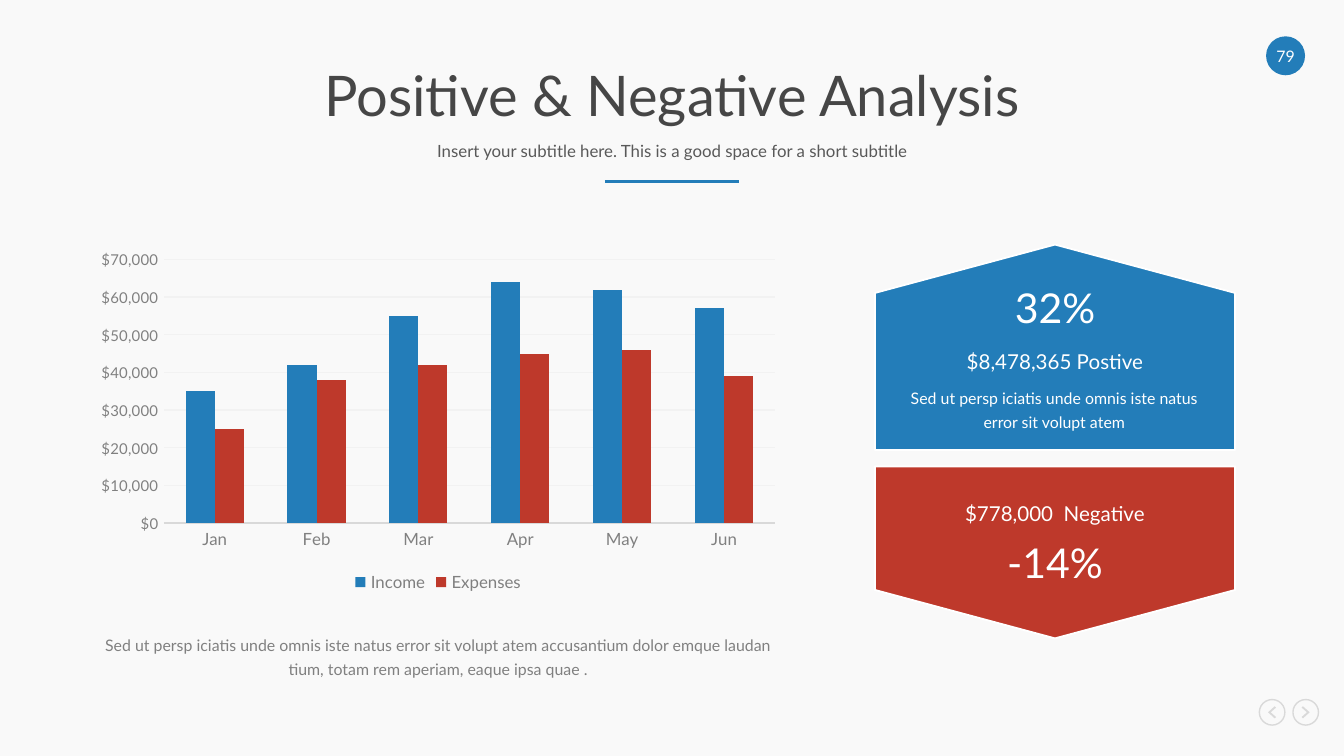
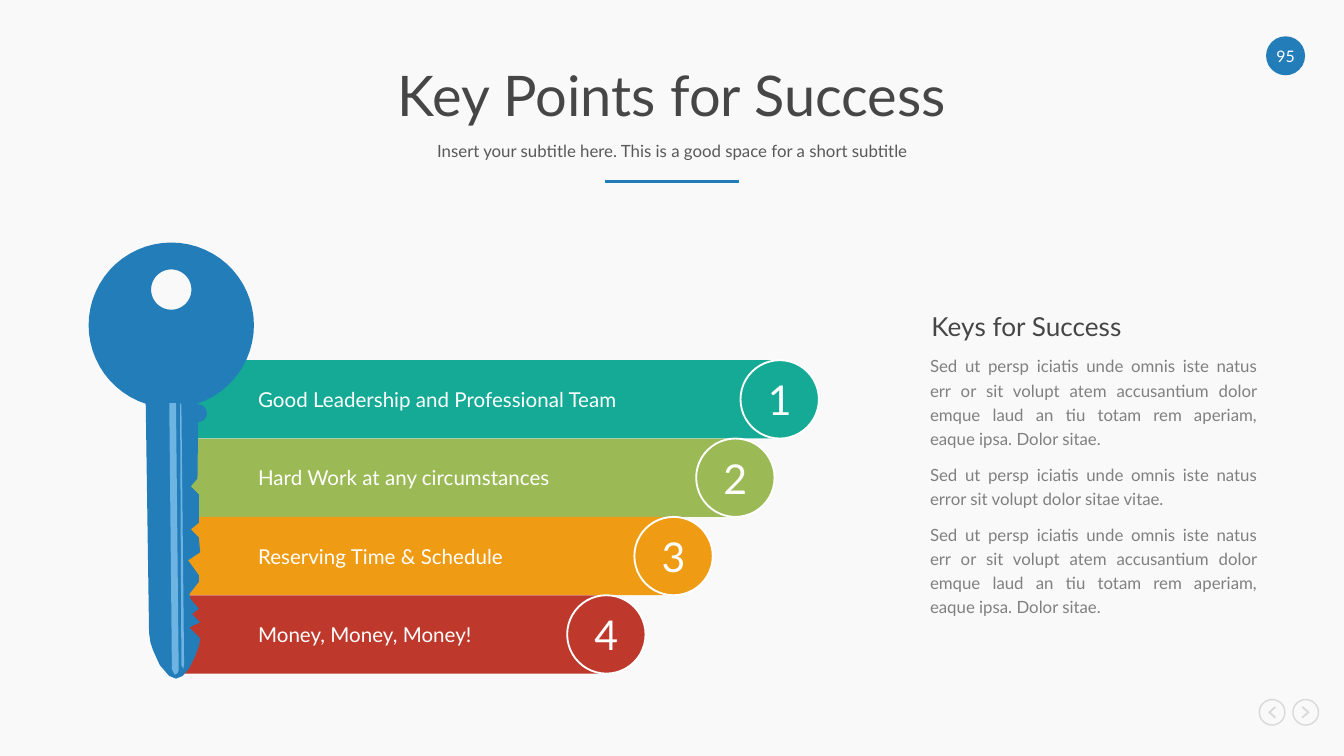
from dataclasses import dataclass
from math import cos, radians, sin
from typing import Optional, Union

from lxml import etree
from pptx import Presentation
from pptx import util as u
from pptx.chart.data import CategoryChartData
from pptx.dml.color import RGBColor
from pptx.enum import chart as ch, shapes as sh, text as tx
from pptx.oxml.ns import qn
from pptx.shapes.autoshape import Shape
from pptx.slide import Slide
from pptx.text.text import Font, TextFrame

LEFT, MID, JUST = tx.PP_ALIGN.LEFT, tx.PP_ALIGN.CENTER, tx.PP_ALIGN.JUSTIFY
OVAL, RECT = sh.MSO_SHAPE.OVAL, sh.MSO_SHAPE.RECTANGLE
WIDE = u.Inches(10)
HIGH = WIDE * 9 // 16
COLS = 100
CELL = WIDE / COLS
Point = tuple[float, float]


@dataclass(frozen=True)
class Theme:
    font: str = "Lato"
    page: str = "F9F9F9"
    white: str = "FFFFFF"
    blue: str = "237DB9"
    sky: str = "6DB4E3"
    red: str = "BE392B"
    teal: str = "14AA96"
    green: str = "9BB955"
    gold: str = "F09B14"
    dark: str = "464646"
    soft: str = "595959"
    gray: str = "808080"
    rule: str = "D9D9D9"
    grid: str = "F2F2F2"
    title: float = 30
    big: float = 22
    head: float = 14
    label: float = 11
    body: float = 9
    small: float = 8.5
    tick: float = 8


T = Theme()


@dataclass(frozen=True)
class Style:
    size: float
    color: str
    align: tx.PP_ALIGN = MID
    lead: Union[float, u.Pt, None] = None
    after: float = 0


@dataclass(frozen=True)
class Box:
    x: float
    y: float
    w: float
    h: float

    def emu(self) -> list[int]:
        return [span(v) for v in (self.x, self.y, self.w, self.h)]


@dataclass(frozen=True)
class Note:
    box: Box
    style: Style
    lines: tuple[str, ...]


@dataclass(frozen=True)
class Panel:
    tip: float
    side: float
    base: float
    fill: str
    notes: tuple[Note, ...]


@dataclass(frozen=True)
class Step:
    label: str
    width: float
    fill: str


LEAD = u.Pt(13)
HEAD = Style(T.title, T.dark, lead=0.9)
SUB = Style(T.body, T.soft, lead=0.9)
PAGE = Style(T.small, T.white)
BIG = Style(T.big, T.white)
SUM = Style(T.label, T.white, lead=LEAD)
FINE = Style(T.small, T.white, lead=LEAD)
LABEL = Style(T.label, T.white, LEFT)
FOOT = Style(T.small, T.gray, lead=LEAD)
SIDE = Style(T.head, T.dark, JUST)
PROSE = Style(T.body, T.gray, JUST, LEAD, 6)


def span(cells: float) -> int:
    return round(cells * CELL)


def rgb(code: str) -> RGBColor:
    return RGBColor.from_string(code)


def face(font: Font, size: float, color: str) -> None:
    font.name, font.size = T.font, u.Pt(size)
    font.color.rgb = rgb(color)


def write(frame: TextFrame, lines: tuple[str, ...], style: Style,
          anchor: tx.MSO_ANCHOR = tx.MSO_ANCHOR.TOP, inset: float = 0) -> None:
    frame.word_wrap = True
    frame.auto_size = tx.MSO_AUTO_SIZE.NONE
    frame.vertical_anchor = anchor
    frame.margin_left = span(inset)
    frame.margin_top = frame.margin_right = frame.margin_bottom = 0
    for i, line in enumerate(lines):
        para = frame.add_paragraph() if i else frame.paragraphs[0]
        para.text = line
        para.alignment = style.align
        para.line_spacing = style.lead
        para.space_before, para.space_after = u.Pt(0), u.Pt(style.after)
        face(para.font, style.size, style.color)


def paint(shape: Shape, fill: Optional[str], line: Optional[str] = None,
          width: float = 1) -> Shape:
    shape.shadow.inherit = False
    if fill:
        shape.fill.solid()
        shape.fill.fore_color.rgb = rgb(fill)
    else:
        shape.fill.background()
    if line:
        shape.line.color.rgb = rgb(line)
        shape.line.width = u.Pt(width)
    else:
        shape.line.fill.background()
    return shape


def add(slide: Slide, kind: sh.MSO_SHAPE, box: Box, fill: Optional[str],
        line: Optional[str] = None, width: float = 1) -> Shape:
    return paint(slide.shapes.add_shape(kind, *box.emu()), fill, line, width)


def trace(slide: Slide, rings: list[list[Point]], fill: str,
          line: Optional[str] = None) -> Shape:
    rings = [[(span(x), span(y)) for x, y in ring] for ring in rings]
    pen = slide.shapes.build_freeform(*rings[0][0])
    for i, ring in enumerate(rings):
        if i:
            pen.move_to(*ring[0])
        pen.add_line_segments(ring[1:], close=True)
    return paint(pen.convert_to_shape(), fill, line)


def arc(x: float, y: float, r: float, start: int, end: int) -> list[Point]:
    return [(x + r * cos(radians(a)), y + r * sin(radians(a)))
            for a in range(start, end + 1, 6)]


def put(slide: Slide, note: Note) -> None:
    write(slide.shapes.add_textbox(*note.box.emu()).text_frame,
          note.lines, note.style)


def seat(slide: Slide, slot: int, note: Note) -> None:
    hold = slide.placeholders[slot]
    hold.left, hold.top, hold.width, hold.height = note.box.emu()
    write(hold.text_frame, note.lines, note.style, tx.MSO_ANCHOR.MIDDLE)


def arrow(slide: Slide, x: float, way: int) -> None:
    y = 53
    add(slide, OVAL, Box(x - 0.95, y - 0.95, 1.9, 1.9), None, T.rule, 0.75)
    edge = [(0.2, -0.45), (0.3, -0.35), (-0.1, 0), (0.3, 0.35),
            (0.2, 0.45), (-0.3, 0)]
    trace(slide, [[(x + way * dx, y + dy) for dx, dy in edge]], T.rule)


def start(deck: Presentation, title: str, page: str) -> Slide:
    slide = deck.slides.add_slide(deck.slide_layouts[0])
    seat(slide, 0, Note(Box(6.5, 4.8, 87, 5), HEAD, (title,)))
    seat(slide, 1, Note(Box(6.5, 10.1, 87, 2.5), SUB, (
        "Insert your subtitle here. This is a good space for a short subtitle",)))
    rule = slide.shapes.add_connector(
        sh.MSO_CONNECTOR.STRAIGHT, *map(span, (45, 13.5, 55, 13.5)))
    rule.line.color.rgb, rule.line.width = rgb(T.blue), u.Pt(1.5)
    etree.SubElement(rule._element.spPr, qn("a:effectLst"))
    badge = add(slide, OVAL, Box(94.2, 2.7, 2.9, 2.9), T.blue)
    write(badge.text_frame, (page,), PAGE, tx.MSO_ANCHOR.MIDDLE)
    arrow(slide, 94.65, 1)
    arrow(slide, 97.15, -1)
    return slide


def bars(slide: Slide, box: Box) -> None:
    data = CategoryChartData(number_format='"$"#,##0')
    data.categories = ["Jan", "Feb", "Mar", "Apr", "May", "Jun"]
    data.add_series("Income", (35000, 42000, 55000, 64000, 62000, 57000))
    data.add_series("Expenses", (25000, 38000, 42000, 45000, 46000, 39000))
    chart = slide.shapes.add_chart(
        ch.XL_CHART_TYPE.COLUMN_CLUSTERED, *box.emu(), data).chart
    face(chart.font, T.tick, T.gray)
    chart.has_title = False
    chart.has_legend = True
    chart.legend.position = ch.XL_LEGEND_POSITION.BOTTOM
    chart.legend.include_in_layout = False
    face(chart.legend.font, T.body, T.gray)
    plot = chart.plots[0]
    plot.gap_width, plot.overlap, plot.vary_by_categories = 150, 0, False
    for series, color in zip(plot.series, (T.blue, T.red)):
        series.format.fill.solid()
        series.format.fill.fore_color.rgb = rgb(color)
    cat, val = chart.category_axis, chart.value_axis
    for axis, size in ((cat, T.body), (val, T.tick)):
        axis.major_tick_mark = axis.minor_tick_mark = ch.XL_TICK_MARK.NONE
        face(axis.tick_labels.font, size, T.gray)
    val.minimum_scale, val.maximum_scale, val.major_unit = 0, 70000, 10000
    val.tick_labels.number_format = '"$"#,##0'
    val.tick_labels.number_format_is_linked = False
    val.format.line.fill.background()
    for line, color in ((cat.format.line, T.rule),
                        (val.major_gridlines.format.line, T.grid)):
        line.color.rgb, line.width = rgb(color), u.Pt(0.75)


def review(deck: Presentation) -> None:
    slide = start(deck, "Positive & Negative Analysis", "79")
    put(slide, Note(Box(6.5, 46.9, 52.2, 3.6), FOOT, (
        "Sed ut persp iciatis unde omnis iste natus error sit volupt atem "
        "accusantium dolor emque laudan tium, totam rem aperiam, eaque ipsa quae .",)))
    panels = (
        Panel(18.2, 21.8, 33.5, T.blue, (
            Note(Box(66.8, 28.5, 23.3, 3.4), FINE, (
                "Sed ut persp iciatis unde omnis iste natus error sit volupt atem",)),
            Note(Box(73, 21, 11, 3.7), BIG, ("32%",)),
            Note(Box(68.1, 26, 20.8, 1.8), SUM, ("$8,478,365 Postive",)))),
        Panel(47.5, 43.9, 34.7, T.red, (
            Note(Box(73, 40, 11, 3.7), BIG, ("-14%",)),
            Note(Box(68.1, 37.3, 20.8, 1.8), SUM, ("$778,000  Negative",)))),
    )
    west, east = 65.1, 91.9
    for p in panels:
        trace(slide, [[((west + east) / 2, p.tip), (west, p.side), (west, p.base),
                       (east, p.base), (east, p.side)]], p.fill, T.white)
        for note in p.notes:
            put(slide, note)
    bars(slide, Box(6.5, 18.1, 52.2, 26.4))


def key(slide: Slide) -> None:
    teeth = [(14.7, 35.6), (14.2, 36.2), (14.8, 36.8), (14.8, 38.9),
             (14.2, 39.4), (14.8, 40), (14.9, 41.1), (14, 41.7), (14.8, 42.8),
             (14.8, 43.3), (14.1, 44.2), (14.2, 44.6), (14.8, 45.3),
             (14.3, 45.7), (14.9, 46.3), (14.1, 46.7), (14.9, 47.5)]
    tip = [(14.8, 48.1), (14.5, 48.9), (14.1, 49.7), (13.6, 50.3), (13.1, 50.5),
           (12.6, 50.3), (11.9, 49.5), (11.4, 48.4), (11.2, 47.8), (11.1, 47.1)]
    rim = (arc(12.75, 24.2, 6.15, 108, 432)
           + arc(14.75, 30.75, 0.65, -90, 90) + teeth + tip)
    trace(slide, [rim, arc(12.75, 21.55, 1.5, 0, 354)], T.blue)
    trace(slide, [[(12.6, 30), (13.1, 30), (13.3, 49.9), (13.2, 50.1),
                   (13, 50.2), (12.8, 49.8)]], T.sky)
    trace(slide, [[(13.4, 30), (13.5, 30.1), (13.7, 49.4), (13.65, 49.75),
                   (13.5, 49.5)]], T.sky)


def points(deck: Presentation) -> None:
    slide = start(deck, "Key Points for Success", "95")
    steps = (
        Step("Good Leadership and Professional Team", 45.1, T.teal),
        Step("Hard Work at any circumstances", 41.8, T.green),
        Step("Reserving Time & Schedule", 37.2, T.gold),
        Step("Money, Money, Money!", 32.2, T.red),
    )
    tall, west = 5.83, 13.2
    for i, step in enumerate(steps):
        y = 26.8 + i * tall
        bar = add(slide, RECT, Box(west, y, step.width, tall), step.fill)
        write(bar.text_frame, (step.label,), LABEL, tx.MSO_ANCHOR.MIDDLE, 6)
        disc = add(slide, OVAL, Box(step.width + 10, y, tall, tall),
                   step.fill, T.white)
        write(disc.text_frame, (str(i + 1),), BIG, tx.MSO_ANCHOR.MIDDLE)
    long = ("Sed ut persp iciatis unde omnis iste natus err or sit volupt atem "
            "accusantium dolor emque laud an tiu totam rem aperiam, eaque ipsa. "
            "Dolor sitae.")
    brief = ("Sed ut persp iciatis unde omnis iste natus error sit volupt dolor "
             "sitae vitae.")
    put(slide, Note(Box(69.2, 26.2, 24.3, 19.7), PROSE, (long, brief, long)))
    put(slide, Note(Box(69.3, 23.1, 24.2, 2.9), SIDE, ("Keys for Success",)))
    key(slide)


def main() -> None:
    deck = Presentation()
    deck.slide_width, deck.slide_height = WIDE, HIGH
    back = deck.slide_master.background.fill
    back.solid()
    back.fore_color.rgb = rgb(T.page)
    review(deck)
    points(deck)
    deck.save("out.pptx")


if __name__ == "__main__":
    main()
